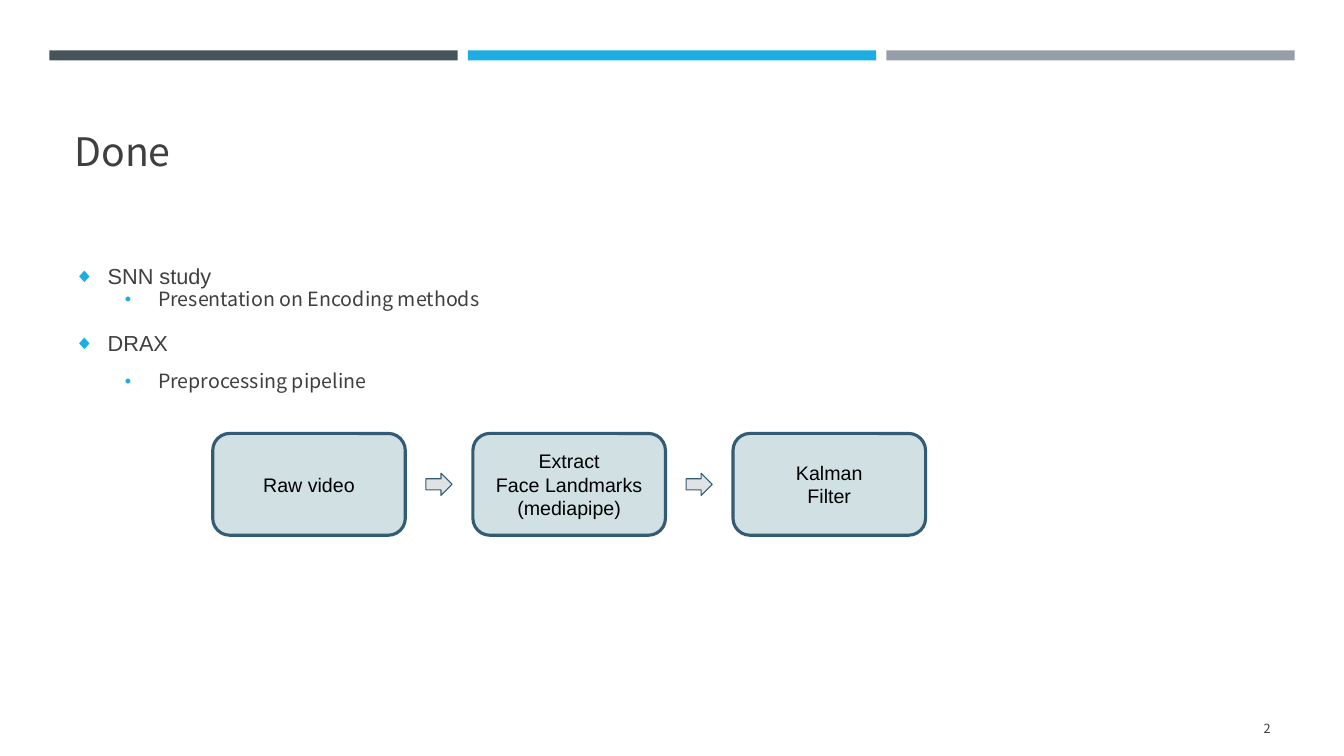
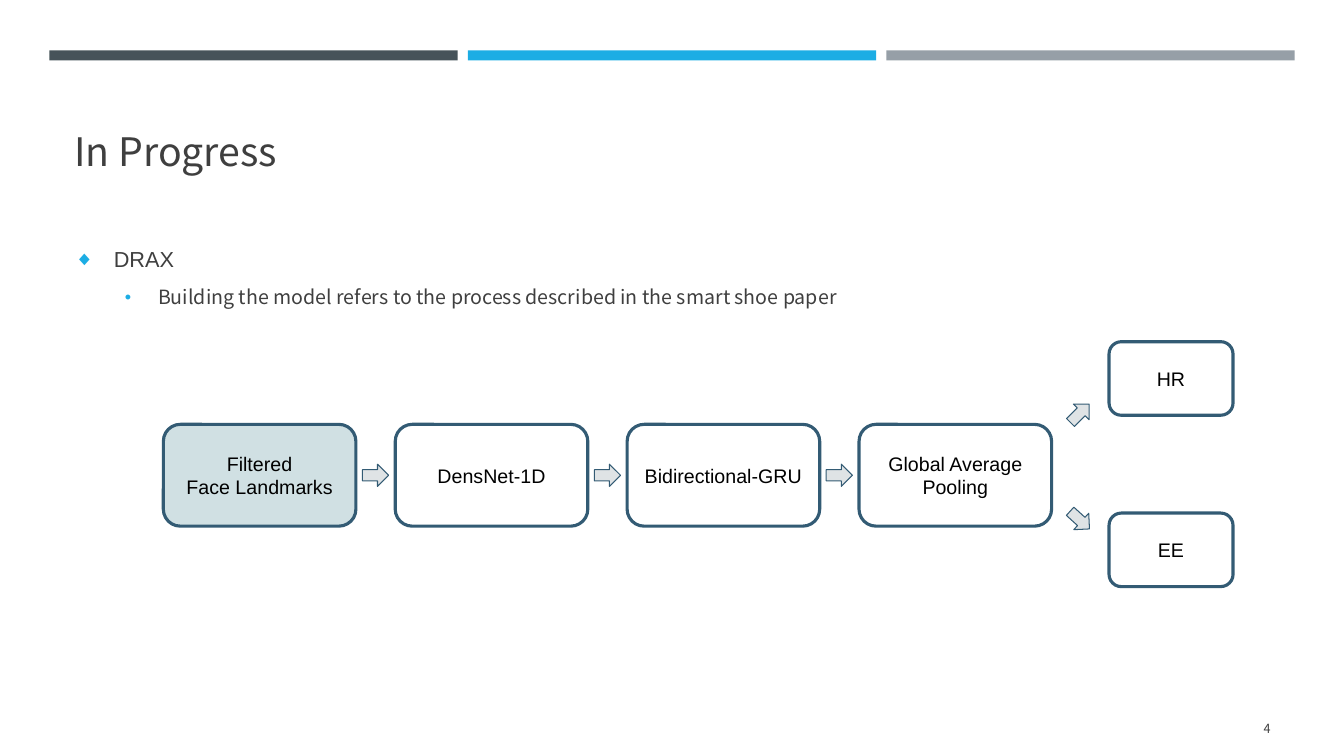
import pptx
import pptx.dml.color
import pptx.enum.shapes
import pptx.enum.text
import pptx.oxml.ns
import pptx.util
from lxml import etree

Inches = pptx.util.Inches
Pt = pptx.util.Pt
SHAPE = pptx.enum.shapes.MSO_SHAPE
ANCHOR = pptx.enum.text.MSO_ANCHOR
ALIGN = pptx.enum.text.PP_ALIGN

# Shared style
COLORS = {
    "slate": "465359", "blue": "1CADE4", "gray": "969FA7",
    "text": "3F3F3F", "black": "000000", "outline": "335B74",
    "done": "D0E0E3", "arrow": "DFE3E5",
}
SANS = "Noto Sans CJK KR"
ARIAL = "Arial"
BANDS = ["slate", "blue", "gray"]
BAND_LEFT, BAND_TOP, BAND_WIDTH, BAND_HEIGHT, BAND_STEP = 0.49, 0.5, 4.05, 0.1, 4.15
LEFT, WIDTH = 0.64, 12.06
STEP_SIZE = (1.91, 1.01)
OUTPUT_SIZE = (1.23, 0.73)
ARROW_SIZE = (0.26, 0.22)

# Bullet levels: mark, bullet start, font, size
LEVELS = [("◆", 0, ARIAL, 15.5), ("•", 0.5, SANS, 14)]

# Content: bullets are (level, text, text indent, space before in points),
# steps are (label, fill), outputs are (label, left, top),
# branches are (left, top, rotation)
SLIDES = [
    {
        "title": "Done", "number": "2", "body_top": 2.59,
        "bullets": [
            (0, "SNN study", 0.33, 0),
            (1, "Presentation on Encoding methods", 0.83, 0),
            (0, "DRAX", 0.33, 16),
            (1, "Preprocessing pipeline", 0.83, 11),
        ],
        "flow": (2.11, 4.3, 2.58),
        "steps": [
            ("Raw video", "done"),
            ("Extract\nFace Landmarks\n(mediapipe)", "done"),
            ("Kalman\nFilter", "done"),
        ],
        "outputs": [], "branches": [],
    },
    {
        "title": "In Progress", "number": "4", "body_top": 2.42,
        "bullets": [
            (0, "DRAX", 0.39, 0),
            (1, "Building the model refers to the process described in the smart shoe paper",
             0.83, 11),
        ],
        "flow": (1.62, 4.21, 2.3),
        "steps": [
            ("Filtered\nFace Landmarks", "done"),
            ("DensNet-1D", None),
            ("Bidirectional-GRU", None),
            ("Global Average Pooling", None),
        ],
        "outputs": [("HR", 11, 3.39), ("EE", 11, 5.09)],
        "branches": [(10.58, 3.99, 315), (10.58, 5.05, 42.3)],
    },
]


def rgb(name):
    return pptx.dml.color.RGBColor.from_string(COLORS[name])


def set_font(para, name, size, color):
    para.font.name = name
    para.font.size = Pt(size)
    para.font.color.rgb = rgb(color)


def add_shape(page, kind, left, top, size, fill=None, line=None, line_width=0.75):
    shape = page.shapes.add_shape(kind, Inches(left), Inches(top), *map(Inches, size))
    shape.shadow.inherit = False
    if fill:
        shape.fill.solid()
        shape.fill.fore_color.rgb = rgb(fill)
    else:
        shape.fill.background()
    if line:
        shape.line.color.rgb = rgb(line)
        shape.line.width = Pt(line_width)
    else:
        shape.line.fill.background()
    return shape


def add_text_box(page, left, top, width, height, anchor):
    box = page.shapes.add_textbox(*map(Inches, (left, top, width, height)))
    box.text_frame.word_wrap = True
    box.text_frame.vertical_anchor = anchor
    return box.text_frame


def add_line_of_text(page, text, place, size, anchor, align):
    frame = add_text_box(page, *place, anchor)
    frame.text = text
    para = frame.paragraphs[0]
    para.alignment = align
    set_font(para, SANS, size, "text")


def set_bullet(para, mark, start, indent):
    props = para._p.get_or_add_pPr()
    props.set("marL", str(Inches(indent)))
    props.set("indent", str(Inches(start) - Inches(indent)))
    qn = pptx.oxml.ns.qn
    color = etree.SubElement(props, qn("a:buClr"))
    etree.SubElement(color, qn("a:srgbClr"), val=COLORS["blue"])
    etree.SubElement(props, qn("a:buSzPct"), val="92000")
    etree.SubElement(props, qn("a:buFont"), typeface=ARIAL)
    etree.SubElement(props, qn("a:buChar"), char=mark)


def add_bullets(page, top, bullets):
    frame = add_text_box(page, LEFT, top, WIDTH, 1.5, ANCHOR.TOP)
    for index, (level, text, indent, space) in enumerate(bullets):
        para = frame.add_paragraph() if index else frame.paragraphs[0]
        para.text = text
        para.level = level
        para.line_spacing = 0.9
        para.space_before = Pt(space)
        mark, start, font, size = LEVELS[level]
        set_bullet(para, mark, start, indent)
        set_font(para, font, size, "text")


def add_node(page, label, left, top, size, fill=None):
    node = add_shape(page, SHAPE.ROUNDED_RECTANGLE, left, top, size, fill, "outline", 2.25)
    frame = node.text_frame
    frame.word_wrap = True
    frame.vertical_anchor = ANCHOR.MIDDLE
    frame.margin_left = frame.margin_right = Inches(0.1)
    frame.margin_top = frame.margin_bottom = Inches(0.1)
    frame.text = label
    for para in frame.paragraphs:
        para.alignment = ALIGN.CENTER
        set_font(para, ARIAL, 14, "black")


def add_arrow(page, left, top, rotation=0):
    arrow = add_shape(page, SHAPE.RIGHT_ARROW, left, top, ARROW_SIZE, "arrow", "outline")
    arrow.rotation = rotation


def add_flow(page, flow, steps):
    start, top, pitch = flow
    # Each arrow sits in the middle of the gap between two steps
    arrow_shift = (STEP_SIZE[0] + pitch - ARROW_SIZE[0]) / 2
    arrow_top = top + (STEP_SIZE[1] - ARROW_SIZE[1]) / 2
    for index, (label, fill) in enumerate(steps):
        left = start + index * pitch
        add_node(page, label, left, top, STEP_SIZE, fill)
        if index < len(steps) - 1:
            add_arrow(page, left + arrow_shift, arrow_top)


def add_frame(page, title, number):
    for index, color in enumerate(BANDS):
        add_shape(page, SHAPE.RECTANGLE, BAND_LEFT + index * BAND_STEP, BAND_TOP,
                  (BAND_WIDTH, BAND_HEIGHT), color)
    add_line_of_text(page, title, (LEFT, 0.77, WIDTH, 1.01), 28, ANCHOR.BOTTOM, ALIGN.LEFT)
    add_line_of_text(page, number, (11.55, 7.03, 1.15, 0.4), 9, ANCHOR.MIDDLE, ALIGN.RIGHT)


def main():
    deck = pptx.Presentation()
    deck.slide_width = Inches(13.33)
    deck.slide_height = Inches(7.5)
    for content in SLIDES:
        page = deck.slides.add_slide(deck.slide_layouts[6])
        add_frame(page, content["title"], content["number"])
        add_bullets(page, content["body_top"], content["bullets"])
        add_flow(page, content["flow"], content["steps"])
        for label, left, top in content["outputs"]:
            add_node(page, label, left, top, OUTPUT_SIZE)
        for left, top, rotation in content["branches"]:
            add_arrow(page, left, top, rotation)
    deck.save("out.pptx")


if __name__ == "__main__":
    main()
